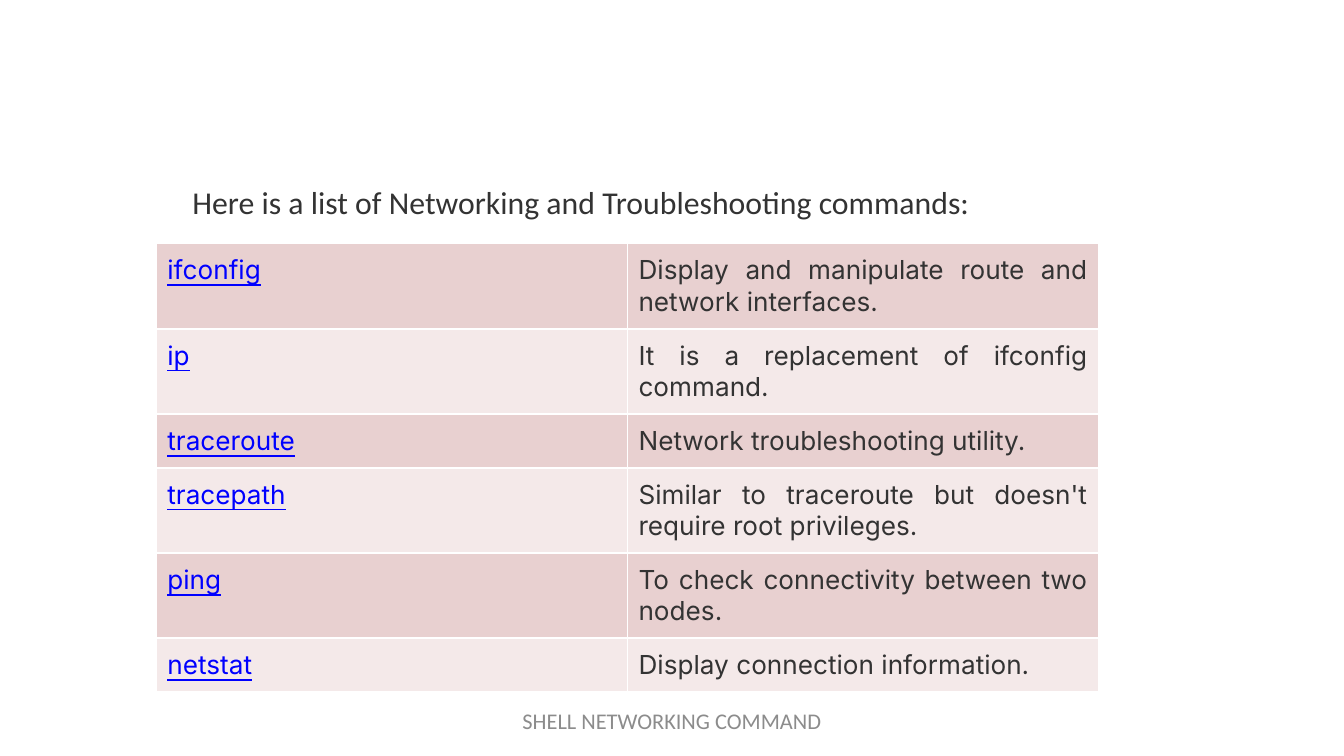
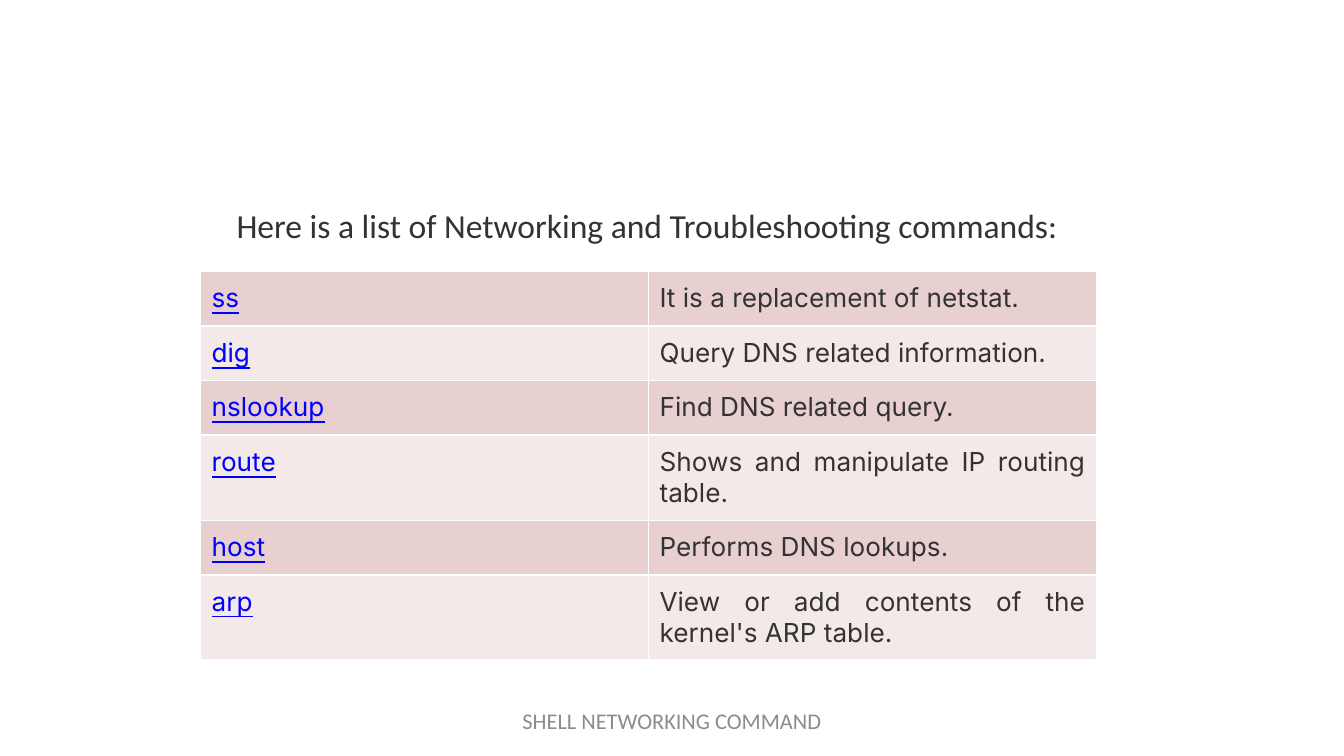
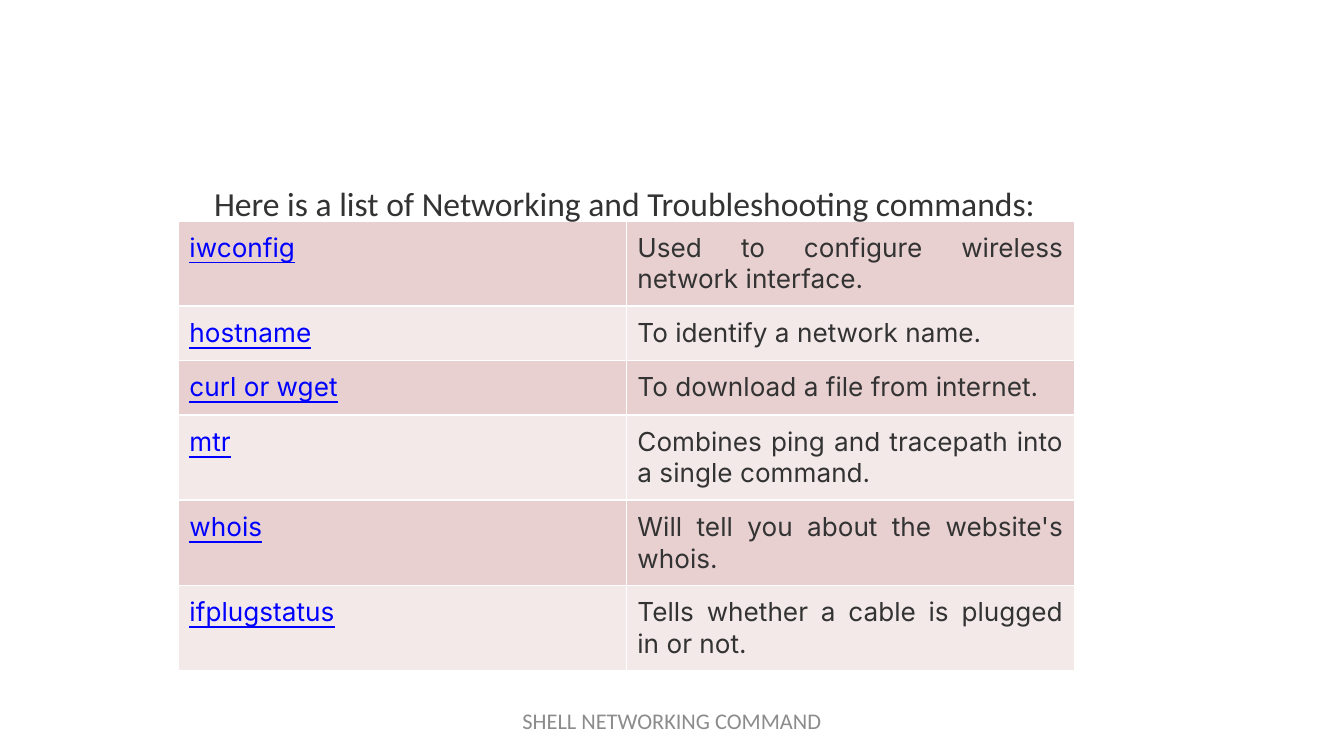
from pptx import Presentation
from pptx.dml.color import RGBColor
from pptx.enum.text import MSO_ANCHOR, MSO_AUTO_SIZE, PP_ALIGN
from pptx.oxml import parse_xml
from pptx.oxml.ns import nsdecls
from pptx.util import Pt

TOP, MIDDLE = MSO_ANCHOR.TOP, MSO_ANCHOR.MIDDLE
LEFT, CENTER, JUSTIFY = PP_ALIGN.LEFT, PP_ALIGN.CENTER, PP_ALIGN.JUSTIFY
FIT_SHAPE = MSO_AUTO_SIZE.SHAPE_TO_FIT_TEXT

INK, LINK, GREY, WHITE = "333333", "0000FF", "8C8C8C", "FFFFFF"
BANDS = ["E8D0D0", "F4E9E9"]
TITLE = "Here is a list of Networking and Troubleshooting commands:"
FOOTER = "SHELL NETWORKING COMMAND"
CELL_MARGIN = Pt(5.9)
TALL, SHORT, EVEN = 44, 26.6, 29.2

# title: left, top, width, height, font size; table: left, top, column width
SLIDES = [
    {"title": (95.8, 94.3, 528.5, 28, 17), "table": (83.8, 130.5, 252.4),
     "heights": [TALL, TALL, SHORT, TALL, TALL, SHORT],
     "commands": [
         ("ifconfig", "Display and manipulate route and network interfaces."),
         ("ip", "It is a replacement of ifconfig command."),
         ("traceroute", "Network troubleshooting utility."),
         ("tracepath", "Similar to traceroute but doesn't require root privileges."),
         ("ping", "To check connectivity between two nodes."),
         ("netstat", "Display connection information.")]},
    {"title": (119.5, 106.3, 589, 29, 18), "table": (107.5, 145.5, 240),
     "heights": [EVEN] * 6,
     "commands": [
         ("ss", "It is a replacement of netstat."),
         ("dig", "Query DNS related information."),
         ("nslookup", "Find DNS related query."),
         ("route", "Shows and manipulate IP routing table."),
         ("host", "Performs DNS lookups."),
         ("arp", "View or add contents of the kernel's ARP table.")]},
    {"title": (107.5, 94.3, 601, 29, 18), "table": (95.6, 118.3, 240),
     "heights": [EVEN] * 6,
     "commands": [
         ("iwconfig", "Used to configure wireless network interface."),
         ("hostname", "To identify a network name."),
         ("curl or wget", "To download a file from internet."),
         ("mtr", "Combines ping and tracepath into a single command."),
         ("whois", "Will tell you about the website's whois."),
         ("ifplugstatus", "Tells whether a cable is plugged in or not.")]},
]


def write(tf, text, size, color=INK, font="Calibri", align=LEFT, anchor=TOP, underline=False):
    """Put one formatted run into a text frame."""
    tf.word_wrap = True
    tf.vertical_anchor = anchor
    p = tf.paragraphs[0]
    p.alignment = align
    r = p.add_run()
    r.text = text
    r.font.size = Pt(size)
    r.font.name = font
    r.font.color.rgb = RGBColor.from_string(color)
    r.font.underline = underline


def style_cell(cell, fill):
    """Set margins, white borders and fill of a table cell."""
    cell.margin_left = cell.margin_right = CELL_MARGIN
    cell.margin_top = cell.margin_bottom = CELL_MARGIN
    tcPr = cell._tc.get_or_add_tcPr()
    for side in "LRTB":
        tcPr.append(parse_xml(
            f'<a:ln{side} {nsdecls("a")} w="{Pt(1)}"><a:solidFill>'
            f'<a:srgbClr val="{WHITE}"/></a:solidFill></a:ln{side}>'))
    cell.fill.solid()
    cell.fill.fore_color.rgb = RGBColor.from_string(fill)


prs = Presentation()
prs.slide_width, prs.slide_height = Pt(720), Pt(405)
title_only = prs.slide_layouts[5]

for content in SLIDES:
    s = prs.slides.add_slide(title_only)

    left, top, col_width = content["table"]
    heights = content["heights"]
    frame = s.shapes.add_table(len(heights), 2, Pt(left), Pt(top),
                               Pt(2 * col_width), Pt(sum(heights)))
    table = frame.table
    table.first_row = table.horz_banding = False
    for i, (command, purpose) in enumerate(content["commands"]):
        table.rows[i].height = Pt(heights[i])
        for j, (text, color) in enumerate([(command, LINK), (purpose, INK)]):
            cell = table.cell(i, j)
            style_cell(cell, BANDS[i % 2])
            write(cell.text_frame, text, 14, color, "Inter", JUSTIFY, underline=j == 0)

    left, top, width, height, size = content["title"]
    title = s.shapes.title
    title.left, title.top, title.width, title.height = Pt(left), Pt(top), Pt(width), Pt(height)
    write(title.text_frame, TITLE, size)
    title.text_frame.auto_size = FIT_SHAPE
    s.shapes.element.append(title.element)  # keeps the title in front of the table

    footer = s.shapes.add_textbox(Pt(246), Pt(375.4), Pt(228), Pt(21.6))
    write(footer.text_frame, FOOTER, 12, GREY, align=CENTER, anchor=MIDDLE)

prs.save("out.pptx")
